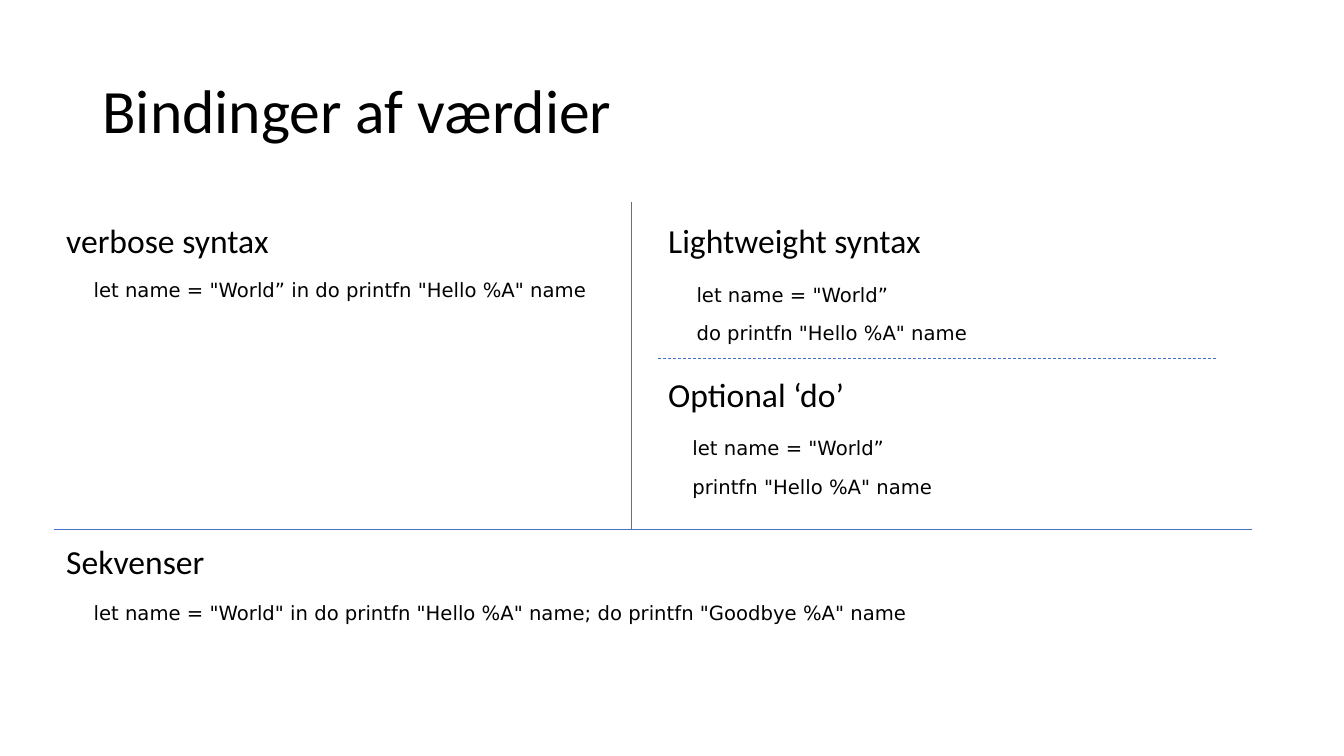
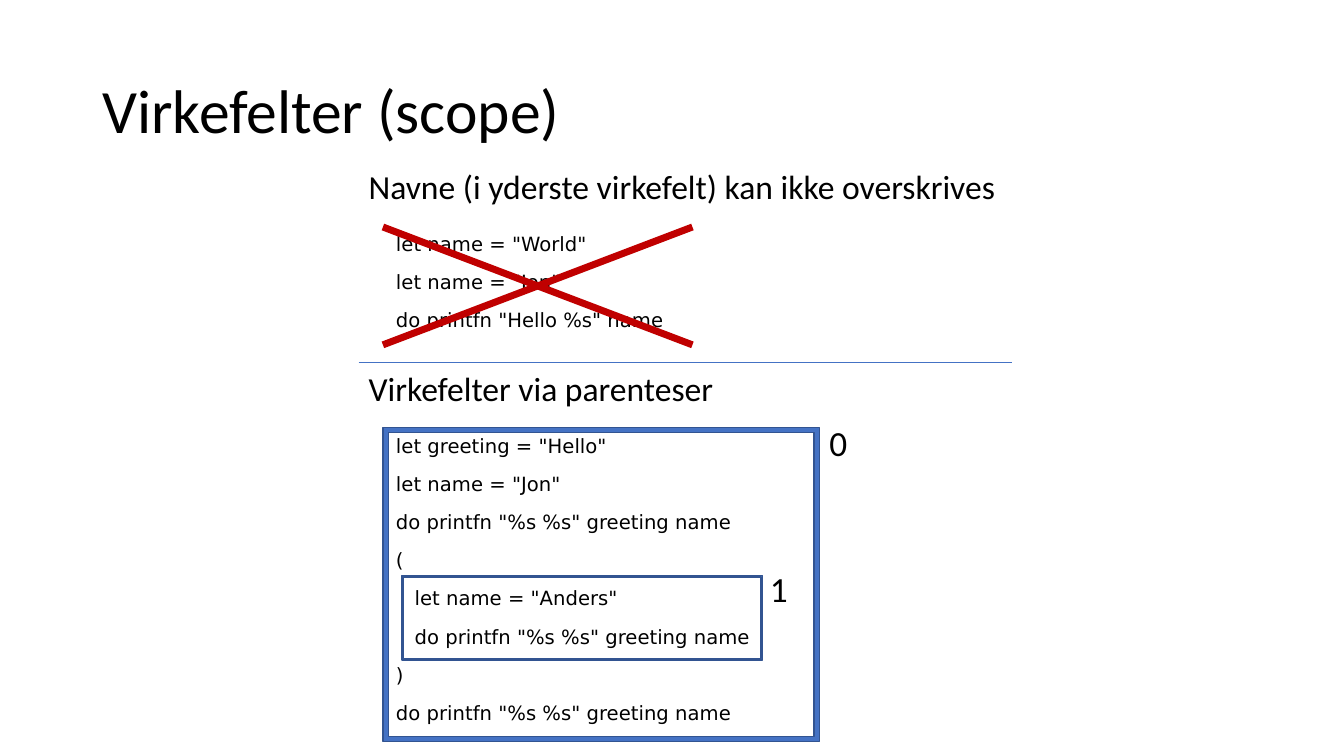
"""Builds two slides on F# value bindings and scope."""
import dataclasses

import lxml.etree
import pptx
import pptx.dml.color
import pptx.enum.dml
import pptx.enum.shapes
import pptx.enum.text
import pptx.oxml.ns
import pptx.util

Cm = pptx.util.Cm
Pt = pptx.util.Pt
RGB = pptx.dml.color.RGBColor.from_string
qn = pptx.oxml.ns.qn


@dataclasses.dataclass(frozen=True)
class Theme:
    ink: str = "000000"
    blue: str = "4472C4"
    edge: str = "325491"
    red: str = "C00000"
    sans: str = "Calibri"
    code: str = "DejaVu Sans"
    title: float = 44
    head: float = 24
    level: float = 25.2
    small: float = 14
    gap: float = 10.5
    thin: float = 0.5
    thick: float = 5


theme = Theme()
HEAD = dict(font=theme.sans, size=theme.head, wrap=False)
LEVEL = dict(font=theme.sans, size=theme.level, wrap=False)
CODE = dict(font=theme.code, size=theme.small, gap=theme.gap)
TITLE = dict(font=theme.sans, size=theme.title, lead=0.9)


def say(slide, text, spot=None, box=None, font=theme.sans, size=theme.head,
        gap=0, lead=1.0, wrap=True):
    if box is None:
        box = slide.shapes.add_textbox(*map(Cm, spot))
    elif spot:
        box.left, box.top, box.width, box.height = map(Cm, spot)
    frame = box.text_frame
    frame.word_wrap = wrap
    if not wrap:
        frame.auto_size = pptx.enum.text.MSO_AUTO_SIZE.SHAPE_TO_FIT_TEXT
    for i, line in enumerate(text.split("\n")):
        para = frame.add_paragraph() if i else frame.paragraphs[0]
        props = para._p.get_or_add_pPr()
        props.set("marL", "0")
        props.set("indent", "0")
        lxml.etree.SubElement(props, qn("a:buNone"))
        para.alignment = pptx.enum.text.PP_ALIGN.LEFT
        para.space_before = Pt(gap if i else 0)
        para.line_spacing = lead
        run = para.add_run()
        run.text = line
        run.font.name = font
        run.font.size = Pt(size)
        run.font.color.rgb = RGB(theme.ink)


def rule(slide, ends, color=theme.blue, width=theme.thin, dash=None):
    line = slide.shapes.add_connector(
        pptx.enum.shapes.MSO_CONNECTOR.STRAIGHT, *map(Cm, ends))
    line.line.color.rgb = RGB(color)
    line.line.width = Pt(width)
    if dash:
        line.line.dash_style = dash
    lxml.etree.SubElement(line._element.spPr, qn("a:effectLst"))


deck = pptx.Presentation()
deck.slide_width, deck.slide_height = Cm(33.87), Cm(19.05)
base = deck.slide_master.placeholders[0]
base.left, base.top, base.width, base.height = map(Cm, (2.33, 1.01, 29.21, 3.68))
base.text_frame.vertical_anchor = pptx.enum.text.MSO_ANCHOR.MIDDLE

bind = deck.slides.add_slide(deck.slide_layouts[1])
scope = deck.slides.add_slide(deck.slide_layouts[5])
for slide, name in ((bind, "Bindinger af værdier"), (scope, "Virkefelter (scope)")):
    say(slide, name, box=slide.shapes.title, **TITLE)

left, right = 1.42, 16.59
for text, x, y, width in (
    ("verbose syntax", left, 5.41, 5.66),
    ("Lightweight syntax", right, 5.41, 6.93),
    ("Optional ‘do’", right, 9.3, 4.98),
    ("Sekvenser", left, 13.51, 4.04),
):
    say(bind, text, (x, y, width, 1.27), **HEAD)

say(bind, 'let name = "World”\ndo printfn "Hello %A" name',
    (17.3, 6.99, 13.39, 2.69), box=bind.placeholders[1], **CODE)
for text, spot in (
    ('let name = "World” in do printfn "Hello %A" name', (2.11, 6.88, 14.17, 1.32)),
    ('let name = "World”\nprintfn "Hello %A" name', (17.2, 10.87, 13.39, 2.69)),
    ('let name = "World" in do printfn "Hello %A" name; '
     'do printfn "Goodbye %A" name', (2.11, 15.01, 24.43, 1.22)),
):
    say(bind, text, spot, **CODE)

rule(bind, (15.9, 5.08, 15.9, 13.33))
rule(bind, (1.35, 13.33, 31.55, 13.33))
rule(bind, (16.59, 9.04, 30.68, 9.04), dash=pptx.enum.dml.MSO_LINE.DASH)

start, end = 9.04, 25.5
say(scope, "Navne (i yderste virkefelt) kan ikke overskrives",
    (start, 4.06, 16.46, 1.27), **HEAD)
say(scope, "Virkefelter via parenteser", (start, 9.14, 9.3, 1.27), **HEAD)
say(scope, 'let name = "World"\nlet name = "Jon"\ndo printfn "Hello %s" name',
    (9.73, 5.72, 10.92, 2.97), **CODE)
say(scope, '''let greeting = "Hello"
let name = "Jon"
do printfn "%s %s" greeting name
(
   let name = "Anders"
   do printfn "%s %s" greeting name
)
do printfn "%s %s" greeting name''', (9.73, 10.8, 11.46, 7.87), **CODE)
rule(scope, (start, 9.12, end, 9.12))

for level, spot, mark in (
    ("0", (9.65, 10.77, 11, 7.92), (20.65, 10.49)),
    ("1", (10.13, 14.5, 9.09, 2.13), (19.15, 14.17)),
):
    frame = scope.shapes.add_shape(
        pptx.enum.shapes.MSO_SHAPE.FRAME, *map(Cm, spot))
    frame.adjustments[0] = 0.017
    frame.shadow.inherit = False
    frame.fill.solid()
    frame.fill.fore_color.rgb = RGB(theme.blue)
    frame.line.color.rgb = RGB(theme.edge)
    frame.line.width = Pt(1)
    say(scope, level, (*mark, 0.97, 1.35), **LEVEL)

high, low = 5.72, 8.69
for y, z in ((low, high), (high, low)):
    rule(scope, (9.65, y, 17.45, z), color=theme.red, width=theme.thick)

deck.save("out.pptx")
